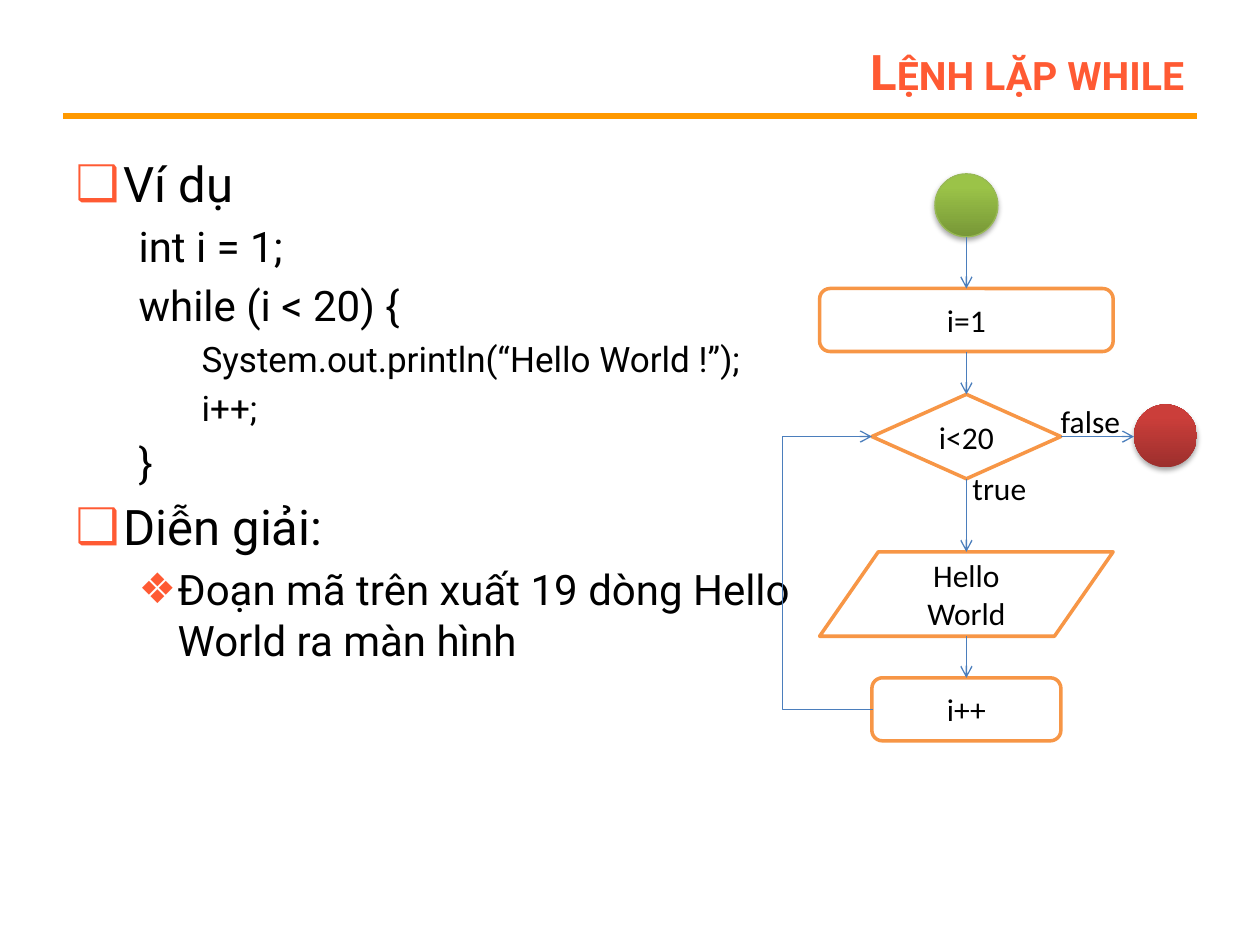
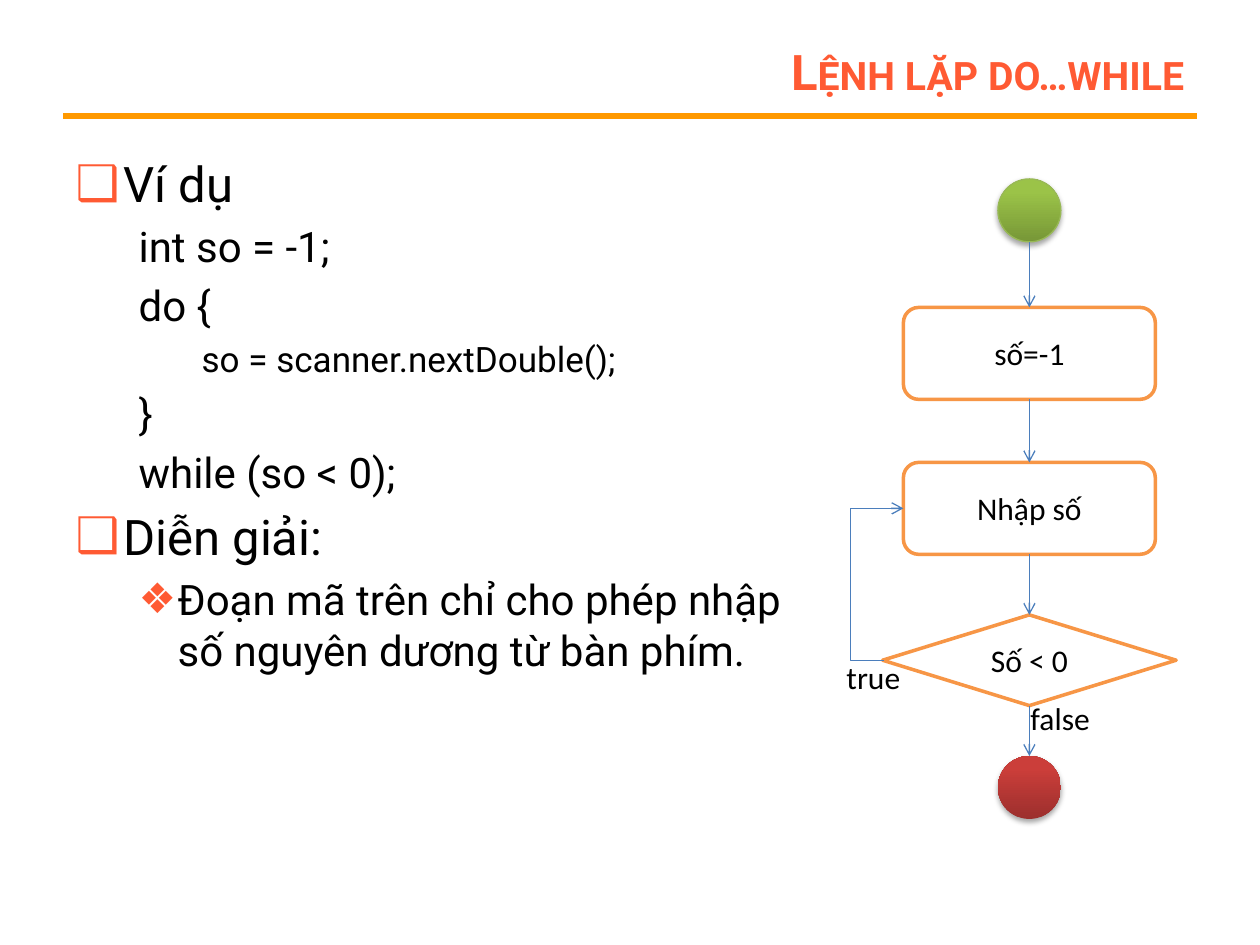
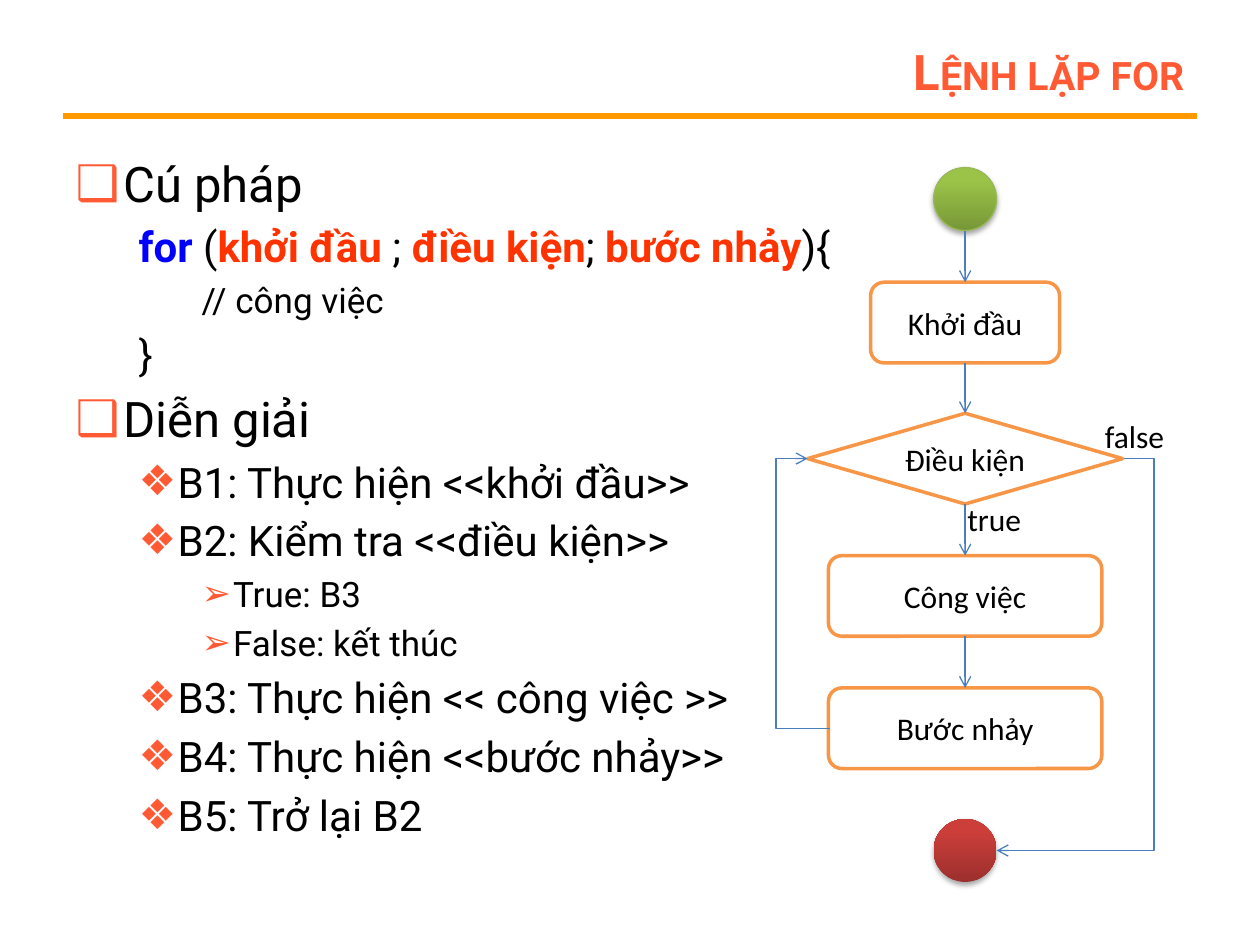
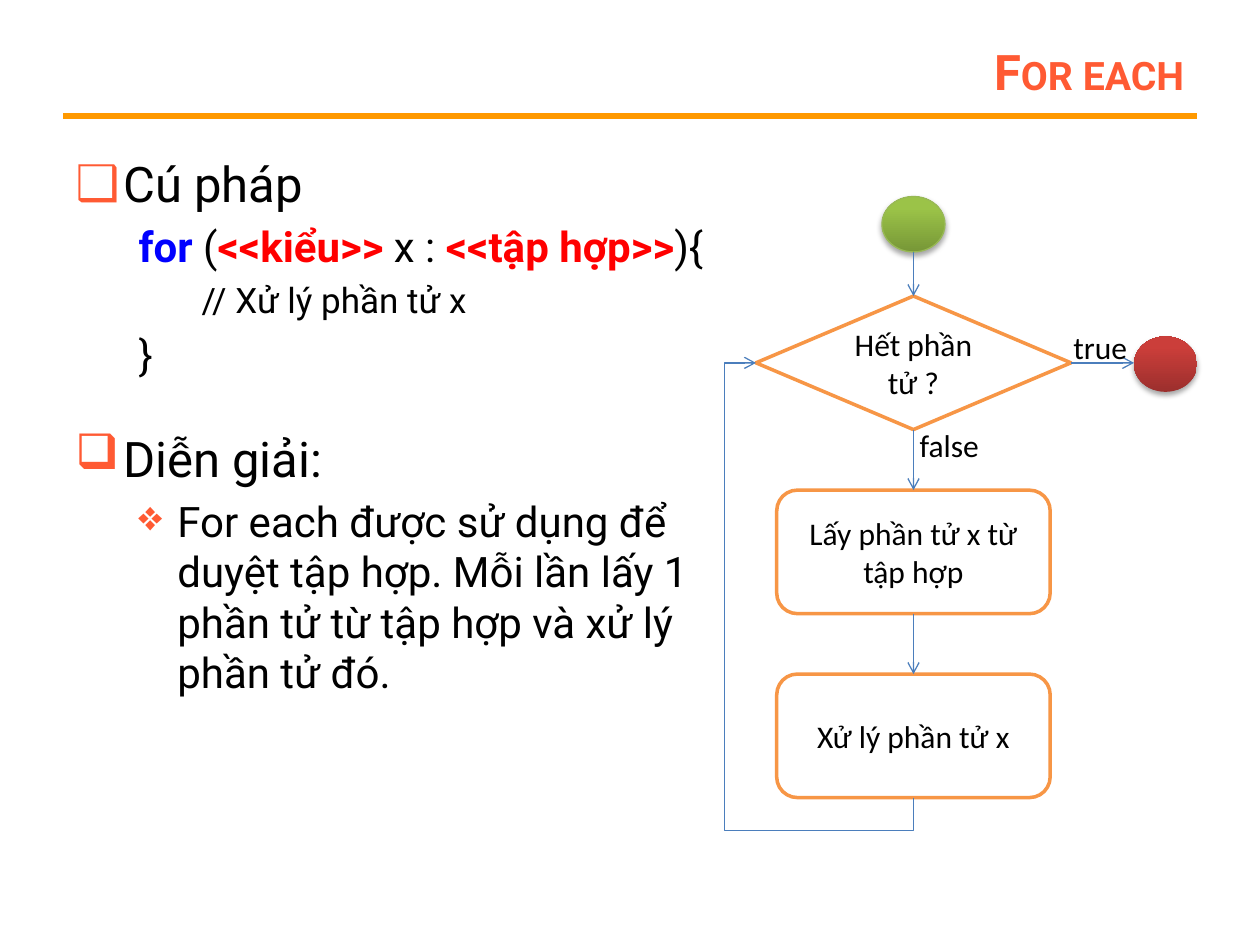
from lxml import etree
from pptx import Presentation
from pptx.dml.color import RGBColor
from pptx.enum.shapes import MSO_CONNECTOR, MSO_SHAPE
from pptx.enum.text import MSO_ANCHOR, MSO_AUTO_SIZE, PP_ALIGN
from pptx.oxml.ns import qn
from pptx.util import Inches, Pt

# Shared style
ACCENT, RULE, BLACK, WHITE = "FF5A33", "FF9900", "000000", "FFFFFF"
BLUE, RED, BRIGHT_RED = "0000FF", "FF3300", "FF0000"
NODE_LINE, ARROW = "F79646", "4B7EBC"
GREEN_BALL = ("779737", "9BC348", "98B955")
RED_BALL = ("9C2F2D", "CB3E3A", None)
HEADING_FONT, NODE_FONT = "Roboto", "Calibri"

# List styles: level, left margin, first-line indent, size, bullet
LIST_STYLES = {
    "head": (0, 0.38, -0.38, 28, "❑"),
    "code": (1, 0.5, 0, 24, None),
    "inner": (2, 1, 0, 20, None),
    "point": (1, 0.81, -0.31, 24, "❖"),
    "sub": (2, 1.25, -0.25, 20, "➢"),
}


def color(value):
    return RGBColor.from_string(value)


def add_xml(parent, tag, **attributes):
    child = etree.SubElement(parent, qn(tag))
    for name, value in attributes.items():
        child.set(name, str(value))
    return child


def set_font(font, name, size, value, bold=None):
    font.name, font.size, font.bold = name, Pt(size), bold
    font.color.rgb = color(value)


def place(shape, left, top, width, height):
    shape.left, shape.top = Inches(left), Inches(top)
    shape.width, shape.height = Inches(width), Inches(height)


def middle_x(shape):
    return shape.left + shape.width // 2


def middle_y(shape):
    return shape.top + shape.height // 2


class Deck:
    def __init__(self):
        self.presentation = Presentation()
        self.presentation.slide_width = Inches(10)
        self.presentation.slide_height = Inches(7.5)
        self.layout = self.presentation.slide_layouts[1]
        self.slide = None

    def add_slide(self, title):
        first = self.slide is None
        self.slide = self.presentation.slides.add_slide(self.layout)
        if first:
            self.add_rule_to_layout()
        shape = self.slide.shapes.title
        place(shape, 2.25, 0.3, 7.25, 0.53)
        frame = shape.text_frame
        frame.text = title
        frame.auto_size = MSO_AUTO_SIZE.NONE
        frame.vertical_anchor = MSO_ANCHOR.MIDDLE
        paragraph = frame.paragraphs[0]
        paragraph.alignment = PP_ALIGN.RIGHT
        set_font(paragraph.font, HEADING_FONT, 28, ACCENT, True)
        shape.element.find(".//" + qn("a:defRPr")).set("cap", "small")

    def add_rule_to_layout(self):
        rule = self.connect(MSO_CONNECTOR.STRAIGHT, Inches(0.5), Inches(0.92),
                            Inches(9.5), Inches(0.92), RULE, 3, head=False)
        self.layout.shapes.element.append(rule.element)

    # Lists
    def body(self, width, height, items):
        shape = self.slide.placeholders[1]
        place(shape, 0.5, 1.17, width, height)
        self.fill_list(shape.text_frame, items)

    def text_list(self, left, top, width, height, items):
        shape = self.slide.shapes.add_textbox(
            Inches(left), Inches(top), Inches(width), Inches(height))
        self.fill_list(shape.text_frame, items)

    def fill_list(self, frame, items):
        frame.word_wrap = True
        frame.auto_size = MSO_AUTO_SIZE.NONE
        for index, (style, content) in enumerate(items):
            paragraph = frame.paragraphs[0] if index == 0 else frame.add_paragraph()
            self.format_item(paragraph, *LIST_STYLES[style])
            if isinstance(content, str):
                paragraph.add_run().text = content
                continue
            for text, value in content:
                run = paragraph.add_run()
                run.text = text
                run.font.bold = value != BLACK
                run.font.color.rgb = color(value)

    def format_item(self, paragraph, level, margin, indent, size, bullet):
        paragraph.level = level
        properties = paragraph._p.get_or_add_pPr()
        properties.set("marL", str(Inches(margin)))
        properties.set("indent", str(Inches(indent)))
        add_xml(add_xml(properties, "a:spcBef"), "a:spcPct", val=20000)
        if bullet:
            add_xml(add_xml(properties, "a:buClr"), "a:srgbClr", val=ACCENT)
            add_xml(properties, "a:buChar", char=bullet)
        else:
            add_xml(properties, "a:buNone")
        set_font(paragraph.font, HEADING_FONT, size, BLACK)

    # Flowchart nodes, placed by their centre line
    def node(self, kind, center, top, width, height, text):
        shape = self.slide.shapes.add_shape(
            kind, Inches(center - width / 2), Inches(top), Inches(width), Inches(height))
        shape.shadow.inherit = False
        shape.fill.solid()
        shape.fill.fore_color.rgb = color(WHITE)
        shape.line.color.rgb = color(NODE_LINE)
        shape.line.width = Pt(2)
        frame = shape.text_frame
        frame.text = text
        frame.word_wrap = True
        frame.vertical_anchor = MSO_ANCHOR.MIDDLE
        paragraph = frame.paragraphs[0]
        paragraph.alignment = PP_ALIGN.CENTER
        set_font(paragraph.font, NODE_FONT, 18, BLACK)
        return shape

    def step(self, *arguments):
        return self.node(MSO_SHAPE.ROUNDED_RECTANGLE, *arguments)

    def decision(self, *arguments):
        return self.node(MSO_SHAPE.FLOWCHART_DECISION, *arguments)

    def output(self, *arguments):
        return self.node(MSO_SHAPE.FLOWCHART_DATA, *arguments)

    def ball(self, palette, center, top, height=0.5):
        dark, light, outline = palette
        shape = self.slide.shapes.add_shape(
            MSO_SHAPE.OVAL, Inches(center - 0.25), Inches(top), Inches(0.5), Inches(height))
        shape.fill.gradient()
        shape.fill.gradient_angle = 90
        for stop, value, position in zip(shape.fill.gradient_stops, (dark, light), (0, 0.8)):
            stop.color.rgb = color(value)
            stop.position = position
        if outline:
            shape.line.color.rgb = color(outline)
            shape.line.width = Pt(0.75)
        else:
            shape.line.fill.background()
        shape.shadow.inherit = False
        shadow = add_xml(shape.element.spPr.find(qn("a:effectLst")), "a:outerShdw",
                         blurRad=Pt(3.1), dist=Pt(1.8), dir=5400000, rotWithShape=0)
        add_xml(add_xml(shadow, "a:srgbClr", val=BLACK), "a:alpha", val=35000)
        return shape

    def label(self, left, top, width, text, height=0.4):
        shape = self.slide.shapes.add_textbox(
            Inches(left), Inches(top), Inches(width), Inches(height))
        frame = shape.text_frame
        frame.word_wrap = False
        frame.text = text
        set_font(frame.paragraphs[0].font, NODE_FONT, 18, BLACK)

    # Connectors
    def connect(self, kind, x1, y1, x2, y2, value=ARROW, width=0.75, head=True):
        connector = self.slide.shapes.add_connector(
            kind, int(x1), int(y1), int(x2), int(y2))
        connector.line.color.rgb = color(value)
        connector.line.width = Pt(width)
        if head:
            add_xml(connector.line._get_or_add_ln(), "a:tailEnd", type="arrow")
        add_xml(connector.element.spPr, "a:effectLst")
        return connector

    def adjust(self, connector, *ratios):
        guides = connector.element.find(".//" + qn("a:avLst"))
        for number, ratio in enumerate(ratios, 1):
            add_xml(guides, "a:gd", name=f"adj{number}", fmla=f"val {round(ratio * 100000)}")

    def flow_down(self, *shapes):
        for upper, lower in zip(shapes, shapes[1:]):
            x = middle_x(upper)
            self.connect(MSO_CONNECTOR.STRAIGHT, x, upper.top + upper.height, x, lower.top)

    def flow_right(self, source, target):
        y = middle_y(source)
        self.connect(MSO_CONNECTOR.STRAIGHT, source.left + source.width, y, target.left, y)

    def side_loop(self, source, target, turn, right=False):
        """Join the same side of two nodes by way of the vertical at turn."""
        x1, x2 = (shape.left + right * shape.width for shape in (source, target))
        x1 += Inches(0.01)  # an elbow needs some width for its adjustment
        connector = self.connect(MSO_CONNECTOR.ELBOW, x1, middle_y(source),
                                 x2, middle_y(target))
        self.adjust(connector, (Inches(turn) - x1) / (x2 - x1))

    def bottom_loop(self, source, target, turn_x, turn_y):
        """Leave the bottom of a node and enter the left side of a higher one."""
        x1, y1 = middle_x(source), source.top + source.height
        x2, y2 = target.left, middle_y(target)
        across, up = x1 - x2, y1 - y2
        x, y = (x1 + x2) / 2, (y1 + y2) / 2
        connector = self.connect(MSO_CONNECTOR.ELBOW, x + up / 2, y - across / 2,
                                 x - up / 2, y + across / 2)
        connector.element.spPr.find(qn("a:xfrm")).set("rot", "5400000")
        connector.element.spPr.find(qn("a:prstGeom")).set("prst", "bentConnector4")
        self.adjust(connector, (y1 - Inches(turn_y)) / up, (x1 - Inches(turn_x)) / across)


def while_slide(deck):
    deck.add_slide("Lệnh lặp while")
    deck.body(5.92, 5.75, [
        ("head", "Ví dụ"),
        ("code", "int i = 1;"),
        ("code", "while (i < 20) {"),
        ("inner", "System.out.println(“Hello World !”);"),
        ("inner", "i++;"),
        ("code", "}"),
        ("head", "Diễn giải:"),
        ("point", "Đoạn mã trên xuất 19 dòng Hello World ra màn hình"),
    ])
    center = 7.67
    start = deck.ball(GREEN_BALL, center, 1.38)
    end = deck.ball(RED_BALL, 9.25, 3.21)
    initial = deck.step(center, 2.29, 2.33, 0.5, "i=1")
    test = deck.decision(center, 3.13, 1.5, 0.67, "i<20")
    hello = deck.output(center, 4.38, 2.33, 0.67, "Hello World")
    increment = deck.step(center, 5.38, 1.5, 0.5, "i++")
    deck.flow_down(start, initial, test, hello, increment)
    deck.flow_right(test, end)
    deck.side_loop(increment, test, 6.2)
    deck.label(7.62, 3.67, 0.63, "true")
    deck.label(8.32, 3.14, 0.68, "false")


def do_while_slide(deck):
    deck.add_slide("Lệnh lặp do…while")
    deck.body(6.17, 5.75, [
        ("head", "Ví dụ"),
        ("code", "int so = -1;"),
        ("code", "do {"),
        ("inner", "so = scanner.nextDouble();"),
        ("code", "}"),
        ("code", "while (so < 0);"),
        ("head", "Diễn giải:"),
        ("point", "Đoạn mã trên chỉ cho phép nhập số nguyên dương từ bàn phím."),
    ])
    center = 8.17
    start = deck.ball(GREEN_BALL, center, 1.42)
    initial = deck.step(center, 2.44, 2, 0.73, "số=-1")
    enter = deck.step(center, 3.67, 2, 0.73, "Nhập số")
    test = deck.decision(center, 4.88, 2.33, 0.72, "Số < 0")
    end = deck.ball(RED_BALL, center, 6)
    deck.flow_down(start, initial, enter, test, end)
    deck.side_loop(test, enter, 6.75)
    deck.label(6.62, 5.17, 0.63, "true")
    deck.label(8.08, 5.5, 0.68, "false")


def for_slide(deck):
    deck.add_slide("Lệnh lặp for")
    deck.body(9, 5.75, [
        ("head", "Cú pháp"),
        ("code", [("for", BLUE), (" (", BLACK), ("khởi đầu ", RED), ("; ", BLACK),
                  ("điều kiện", RED), ("; ", BLACK), ("bước nhảy", RED), ("){", BLACK)]),
        ("inner", "// công việc"),
        ("code", "}"),
        ("head", "Diễn giải"),
        ("point", "B1: Thực hiện <<khởi đầu>>"),
        ("point", "B2: Kiểm tra <<điều kiện>>"),
        ("sub", "True: B3"),
        ("sub", "False: kết thúc"),
        ("point", "B3: Thực hiện << công việc >>"),
        ("point", "B4: Thực hiện <<bước nhảy>>"),
        ("point", "B5: Trở lại B2"),
    ])
    center = 7.66
    start = deck.ball(GREEN_BALL, center, 1.33)
    initial = deck.step(center, 2.24, 1.5, 0.64, "Khởi đầu")
    test = deck.decision(center, 3.28, 2.5, 0.72, "Điều kiện")
    work = deck.step(center, 4.41, 2.17, 0.64, "Công việc")
    advance = deck.step(center, 5.46, 2.17, 0.64, "Bước nhảy")
    end = deck.ball(RED_BALL, center, 6.5)
    deck.flow_down(start, initial, test, work, advance)
    deck.side_loop(test, end, 9.16, right=True)
    deck.side_loop(advance, test, 6.16)
    deck.label(7.58, 3.92, 0.63, "true")
    deck.label(8.67, 3.26, 0.68, "false")


def for_each_slide(deck):
    deck.add_slide("For each")
    deck.body(6, 2.17, [
        ("head", "Cú pháp"),
        ("code", [("for ", BLUE), ("(", BLACK), ("<<kiểu>>", BRIGHT_RED), (" x : ", BLACK),
                  ("<<tập hợp>>", BRIGHT_RED), ("){", BLACK)]),
        ("inner", "// Xử lý phần tử x"),
        ("code", "}"),
    ])
    deck.text_list(0.5, 3.35, 5.17, 2.17, [
        ("head", "Diễn giải:"),
        ("point", "For each được sử dụng để duyệt tập hợp. Mỗi lần lấy 1 "
                  "phần tử từ tập hợp và xử lý phần tử đó."),
    ])
    center = 7.25
    start = deck.ball(GREEN_BALL, center, 1.56, 0.44)
    end = deck.ball(RED_BALL, 9.25, 2.67, 0.44)
    test = deck.decision(center, 2.35, 2.5, 1.06, "Hết phần tử ?")
    take = deck.step(center, 3.89, 2.17, 0.98, "Lấy phần tử x từ tập hợp")
    process = deck.step(center, 5.35, 2.17, 0.98, "Xử lý phần tử x")
    deck.flow_down(start, test, take, process)
    deck.flow_right(test, end)
    deck.bottom_loop(process, test, 5.75, 6.59)
    deck.label(7.2, 3.33, 0.68, "false", 0.49)
    deck.label(8.42, 2.55, 0.63, "true", 0.49)


def main():
    deck = Deck()
    for build in (while_slide, do_while_slide, for_slide, for_each_slide):
        build(deck)
    deck.presentation.save("out.pptx")


if __name__ == "__main__":
    main()
